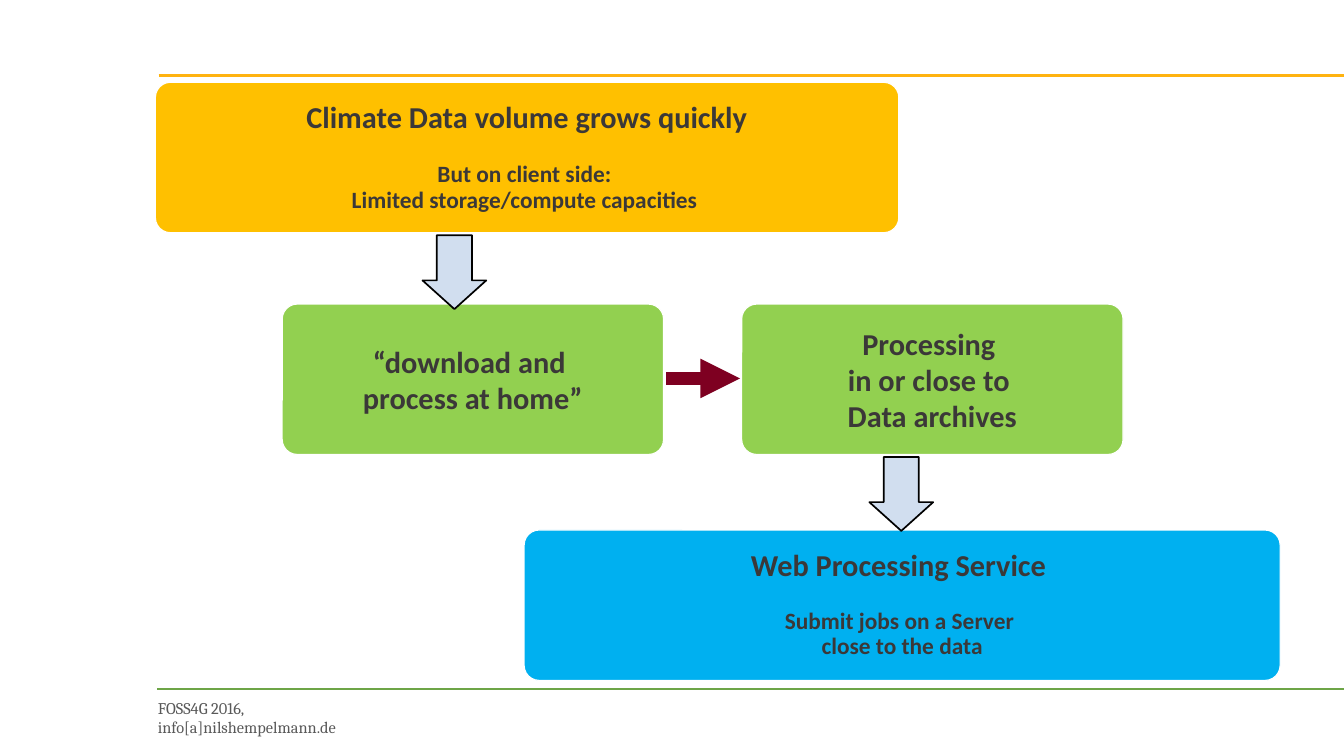
from dataclasses import dataclass

from lxml.etree import SubElement
from pptx import Presentation
from pptx.dml.color import RGBColor
from pptx.enum.shapes import MSO_CONNECTOR, MSO_SHAPE
from pptx.enum.text import MSO_ANCHOR, PP_ALIGN
from pptx.oxml.ns import qn
from pptx.util import Inches, Pt


@dataclass(frozen=True)
class Theme:
    body_font: str = "Calibri"
    footer_font: str = "Cambria"
    heading_size: float = 26
    detail_size: float = 20
    footer_size: float = 14
    ink: str = "3B3838"
    footer_ink: str = "595959"
    problem: str = "FFC000"
    approach: str = "92D050"
    solution: str = "00B0F0"
    box_edge: str = "FFFFFF"
    top_rule: str = "FFB310"
    bottom_rule: str = "6DA547"
    shift: str = "7E0021"
    step_fill: str = "D1DEEF"
    step_edge: str = "000000"


class FlowSlide:
    """Draws on one slide; lengths are columns and rows of a 16 by 9 grid."""

    COLUMNS, ROWS = 16, 9

    def __init__(self, deck, theme):
        self.theme = theme
        self.column = deck.slide_width / self.COLUMNS
        self.row = deck.slide_height / self.ROWS
        self.shapes = deck.slides.add_slide(deck.slide_layouts[6]).shapes

    def place(self, x, y):
        return round(x * self.column), round(y * self.row)

    def add_text(self, paragraph, text, size, font, color, bold=False):
        run = paragraph.add_run()
        run.text = text
        run.font.size = Pt(size)
        run.font.name = font
        run.font.bold = bold
        run.font.color.rgb = RGBColor.from_string(color)

    def outlined(self, preset, corner, extent, fill, edge, edge_width):
        shape = self.shapes.add_shape(preset, *self.place(*corner), *self.place(*extent))
        shape.shadow.inherit = False
        shape.fill.solid()
        shape.fill.fore_color.rgb = RGBColor.from_string(fill)
        shape.line.color.rgb = RGBColor.from_string(edge)
        shape.line.width = Pt(edge_width)
        return shape

    def box(self, corner, width, fill, headings, details=(), gap=0):
        """Add a rounded box; gap is the space in points above the details."""
        theme = self.theme
        box = self.outlined(MSO_SHAPE.ROUNDED_RECTANGLE, corner, (width, BOX_HEIGHT),
                            fill, theme.box_edge, 1)
        box.adjustments[0] = 0.1
        frame = box.text_frame
        frame.word_wrap = True
        frame.vertical_anchor = MSO_ANCHOR.MIDDLE
        frame.margin_left = frame.margin_right = Inches(0.08)
        frame.margin_top = frame.margin_bottom = Inches(0.13)
        lines = [(text, theme.heading_size) for text in headings]
        lines += [(text, theme.detail_size) for text in details]
        for index, (text, size) in enumerate(lines):
            paragraph = frame.add_paragraph() if index else frame.paragraphs[0]
            paragraph.alignment = PP_ALIGN.CENTER
            paragraph.line_spacing = 0.9 if details else 1.0
            if details and index == len(headings):
                paragraph.space_before = Pt(gap)
            self.add_text(paragraph, text, size, theme.body_font, theme.ink, bold=True)

    def step_arrow(self, x, y):
        arrow = self.outlined(MSO_SHAPE.DOWN_ARROW, (x, y), (0.76, 0.88),
                              self.theme.step_fill, self.theme.step_edge, 1.45)
        arrow.adjustments[0] = 0.55
        arrow.adjustments[1] = 0.45

    def rule(self, left, right, y, color, width, arrowhead=False):
        rule = self.shapes.add_connector(
            MSO_CONNECTOR.STRAIGHT, *self.place(left, y), *self.place(right, y))
        rule.line.color.rgb = RGBColor.from_string(color)
        rule.line.width = Pt(width)
        properties = rule._element.spPr
        if arrowhead:
            SubElement(properties.find(qn("a:ln")), qn("a:tailEnd"), type="triangle")
        SubElement(properties, qn("a:effectLst"))

    def footer(self, corner, extent, lines):
        frame = self.shapes.add_textbox(*self.place(*corner), *self.place(*extent)).text_frame
        frame.word_wrap = False
        for index, text in enumerate(lines):
            paragraph = frame.add_paragraph() if index else frame.paragraphs[0]
            self.add_text(paragraph, text, self.theme.footer_size,
                          self.theme.footer_font, self.theme.footer_ink)


BOX_HEIGHT = 1.79
PROBLEM_TOP, APPROACH_TOP, SOLUTION_TOP = 0.98, 3.62, 6.31
APPROACH_WIDTH = 4.54
DOWNLOAD_LEFT, ARCHIVE_LEFT = 3.36, 8.83
STEP_GAP = 0.03


def main():
    deck = Presentation()
    deck.slide_width, deck.slide_height = Inches(16), Inches(9)
    theme = Theme()
    slide = FlowSlide(deck, theme)

    slide.rule(1.87, slide.COLUMNS, 8.2, theme.bottom_rule, 2)
    slide.footer((1.78, 8.26), (2.48, 0.57), ["FOSS4G 2016,", "info[a]nilshempelmann.de"])
    slide.rule(1.89, slide.COLUMNS, 0.9, theme.top_rule, 2.25)

    slide.box((DOWNLOAD_LEFT, APPROACH_TOP), APPROACH_WIDTH, theme.approach,
              ["“download and ", "process at home”"])
    slide.box((ARCHIVE_LEFT, APPROACH_TOP), APPROACH_WIDTH, theme.approach,
              ["Processing ", "in or close to ", "Data archives"])
    slide.box((1.85, PROBLEM_TOP), 8.85, theme.problem,
              ["Climate Data volume grows quickly"],
              ["But on client side: ", "Limited storage/compute capacities "], gap=24)
    slide.box((6.24, SOLUTION_TOP), 9, theme.solution,
              ["Web Processing Service "],
              ["Submit jobs on a Server ", "close to the data"], gap=22)

    slide.rule(DOWNLOAD_LEFT + APPROACH_WIDTH + STEP_GAP, ARCHIVE_LEFT - 0.02,
               APPROACH_TOP + BOX_HEIGHT / 2 - 0.01, theme.shift, 11.34, arrowhead=True)
    for left, box_top in ((5.03, PROBLEM_TOP), (10.35, APPROACH_TOP)):
        slide.step_arrow(left, box_top + BOX_HEIGHT + STEP_GAP)

    deck.save("out.pptx")


if __name__ == "__main__":
    main()
